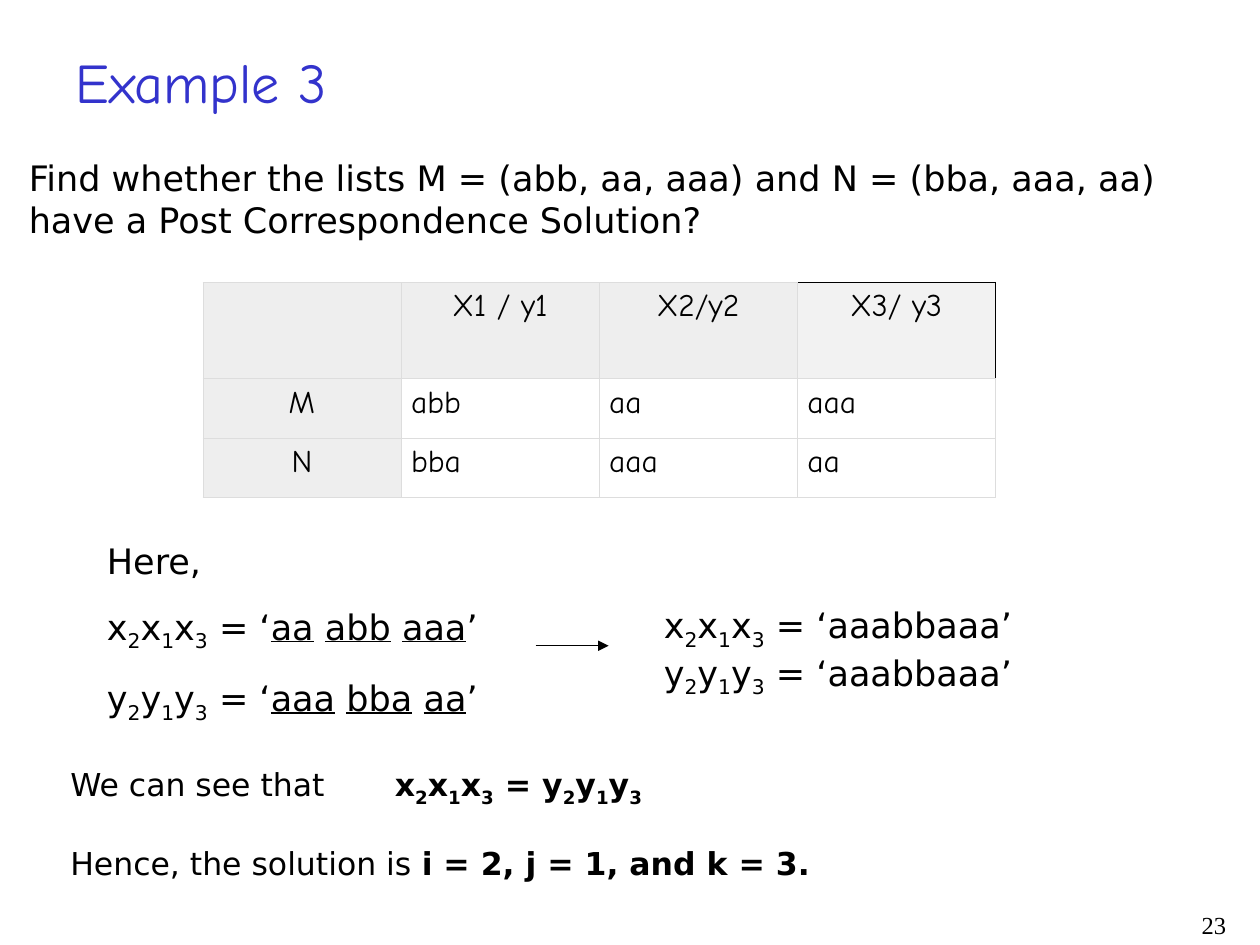
from dataclasses import dataclass
from itertools import product

from lxml.etree import SubElement
from pptx import Presentation
from pptx.dml.color import RGBColor as Color
from pptx.enum.shapes import MSO_CONNECTOR as Connector
from pptx.enum.text import PP_ALIGN as Align
from pptx.oxml.ns import qn
from pptx.util import Inches, Pt


@dataclass(frozen=True)
class Theme:
    ink: str = "000000"
    title: str = "3333CC"
    header: str = "EEEEEE"
    header_light: str = "F2F2F2"
    rule: str = "DDDDDD"
    body_font: str = "DejaVu Sans"
    round_font: str = "Comic Neue"
    number_font: str = "Times New Roman"
    title_size: int = 32
    body_size: int = 20
    small_size: int = 18
    number_size: int = 14


THEME = Theme()
COLUMNS, ROWS = 100, 75  # square grid over the whole slide
CELL = Inches(0.1)
MARKS = {"_": "subscript", "|": "underline", "*": "bold"}


@dataclass(frozen=True)
class Box:
    """An area in grid columns and rows."""
    left: float
    top: float
    width: float
    height: float

    def inner(self, left, top, width, height):
        return Box(self.left + left, self.top + top, width, height)

    def lengths(self):
        return [round(n * CELL) for n in (self.left, self.top, self.width, self.height)]


def indexed(letter):
    return "".join(f"{letter}_{index}_" for index in (2, 1, 3))


def add_spans(para, text, font, size, color):
    """Add runs to para; each mark in MARKS switches its style on or off."""
    active, pieces = set(), [""]
    for char in text:
        if char in MARKS:
            pieces += [MARKS[char], ""]
        else:
            pieces[-1] += char
    for place, piece in enumerate(pieces):
        if place % 2:
            active ^= {piece}
        elif piece:
            span = para.add_run()
            span.text = piece
            span.font.name, span.font.size = font, Pt(size)
            span.font.color.rgb = Color.from_string(color)
            span.font.bold = "bold" in active
            span.font.underline = "underline" in active
            if "subscript" in active:
                span.font._element.set("baseline", "-25000")


def write(frame, *lines, font=THEME.body_font, size=THEME.body_size, color=THEME.ink,
          align=Align.JUSTIFY, spacing=1.0, gap=0, tab=None):
    """Fill a text frame; spacing and gap apply from the second line on."""
    for number, line in enumerate(lines):
        para = frame.add_paragraph() if number else frame.paragraphs[0]
        para.alignment = align
        if number:
            para.line_spacing = spacing
            para.space_before = Pt(gap)
        if tab:
            stops = SubElement(para._p.get_or_add_pPr(), qn("a:tabLst"))
            SubElement(stops, qn("a:tab"), pos=str(round(tab * CELL)), algn="l")
        add_spans(para, line, font, size, color)


def add_text(page, box, *lines, wrap=True, **look):
    frame = page.shapes.add_textbox(*box.lengths()).text_frame
    frame.word_wrap = wrap
    write(frame, *lines, **look)


def add_heading(page, box):
    add_text(page, box.inner(3.7, 0, 22, 6.4), "Example 3", wrap=False, align=Align.LEFT,
             font=THEME.round_font, size=THEME.title_size, color=THEME.title)
    add_text(page, box.inner(0, 8.6, box.width, 7.7),
             "Find whether the lists M = (abb, aa, aaa) and N = (bba, aaa, aa)",
             "have a Post Correspondence Solution?")


def set_border(cell, side, color, width):
    line = SubElement(cell._tc.get_or_add_tcPr(), qn(f"a:ln{side}"), w=str(Pt(width)))
    SubElement(SubElement(line, qn("a:solidFill")), qn("a:srgbClr"), val=color)


def add_list_table(page, box):
    content = [["", "X1 / y1", "X2/y2", "X3/ y3"],
               ["M", "abb", "aa", "aaa"],
               ["N", "bba", "aaa", "aa"]]
    heights = [7.65, 4.7, 4.7]
    rows, columns = len(content), len(content[0])
    table = page.shapes.add_table(rows, columns, *box.lengths()).table
    table.first_row = table.horz_banding = False
    for column in table.columns:
        column.width = round(box.width / columns * CELL)
    for row, height in zip(table.rows, heights):
        row.height = round(height * CELL)
    for row, column in product(range(rows), range(columns)):
        cell = table.cell(row, column)
        corner = row == 0 and column == columns - 1
        heading = row == 0 or column == 0
        for side in "LRTB":
            dark = corner and side in "RT"
            set_border(cell, side, *((THEME.ink, 0.45) if dark else (THEME.rule, 0.34)))
        if heading:
            cell.fill.solid()
            shade = THEME.header_light if corner else THEME.header
            cell.fill.fore_color.rgb = Color.from_string(shade)
        else:
            cell.fill.background()
        cell.margin_left = cell.margin_right = Inches(0.08)
        write(cell.text_frame, content[row][column], font=THEME.round_font,
              size=THEME.small_size, align=Align.CENTER if heading else Align.LEFT)


def add_arrow(page, box):
    left, top, width, height = box.lengths()
    arrow = page.shapes.add_connector(Connector.STRAIGHT, left, top, left + width, top + height)
    arrow.line.color.rgb = Color.from_string(THEME.ink)
    arrow.line.width = Pt(0.75)
    SubElement(arrow.line._get_or_add_ln(), qn("a:tailEnd"), type="triangle")
    SubElement(arrow._element.spPr, qn("a:effectLst"))


def add_derivation(page, box):
    add_text(page, box.inner(0, 0, 33, box.height), "Here,",
             f"{indexed('x')} = ‘|aa| |abb| |aaa|’",
             f"{indexed('y')} = ‘|aaa| |bba| |aa|’", spacing=1.5)
    add_arrow(page, box.inner(35, 8.95, 5.8, 0))
    add_text(page, box.inner(44.2, 5.1, 48.3, 8.6),
             *(f"{indexed(letter)} = ‘aaabbaaa’" for letter in "xy"))


def add_conclusion(page, box):
    add_text(page, box, f"We can see that\t*{indexed('x')} = {indexed('y')}*",
             "Hence, the solution is *i = 2, j = 1, and k = 3.*",
             size=THEME.small_size, gap=21, tab=25.75)


def add_page_number(page, box):
    add_text(page, box, "23", font=THEME.number_font, size=THEME.number_size,
             align=Align.RIGHT)


def main():
    deck = Presentation()
    deck.slide_width, deck.slide_height = COLUMNS * CELL, ROWS * CELL
    page = deck.slides.add_slide(deck.slide_layouts[6])
    add_page_number(page, Box(77.5, 71.7, 20.8, 3.3))
    add_heading(page, Box(1.3, 3.3, 94.2, 16.3))
    add_list_table(page, Box(16.1, 22.4, 62.9, 17))
    add_derivation(page, Box(7.5, 42.3, 92.5, 19.1))
    add_conclusion(page, Box(4.6, 60.2, 82.5, 10.4))
    deck.save("out.pptx")


if __name__ == "__main__":
    main()
